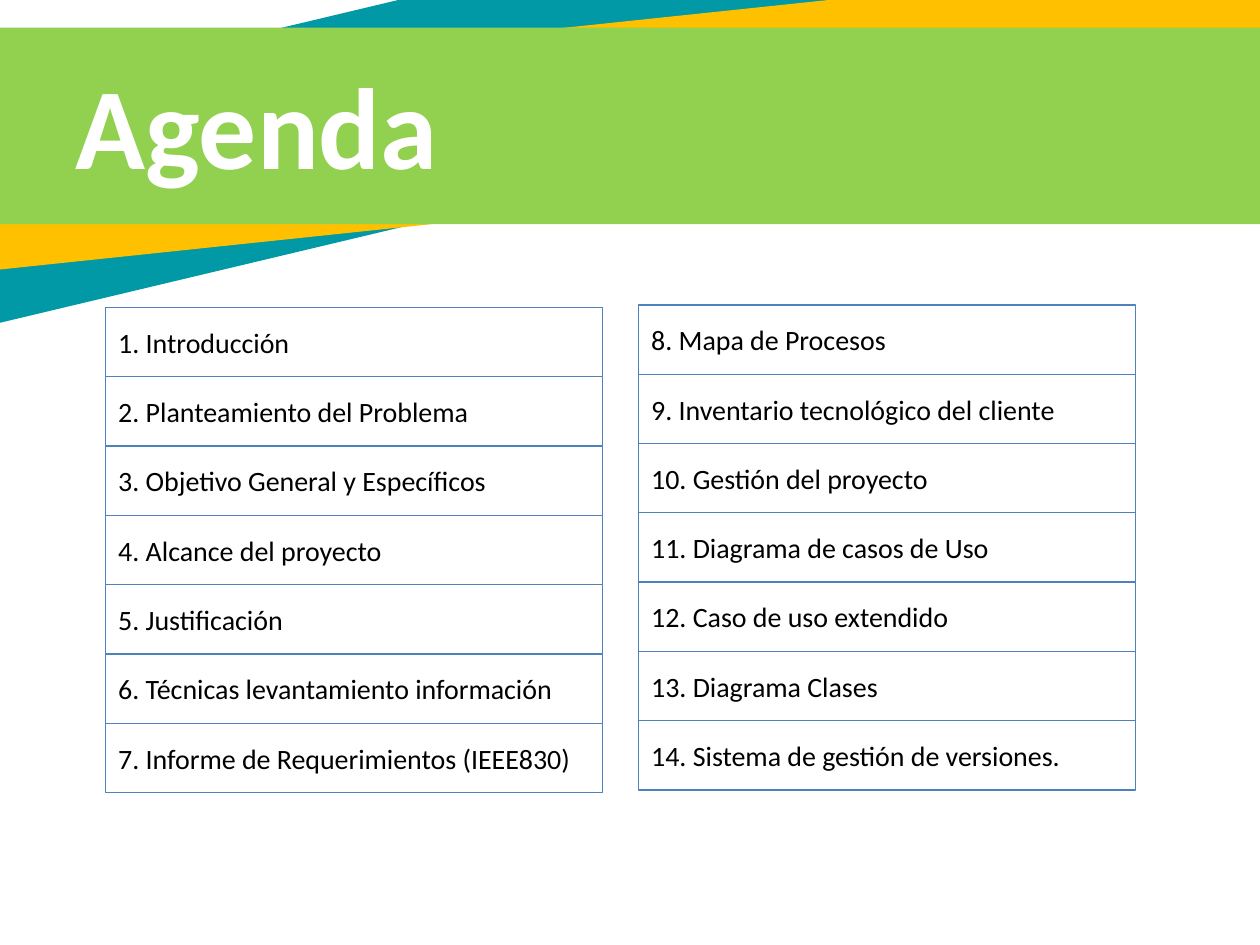
from pptx import Presentation
from pptx.dml.color import RGBColor
from pptx.enum.shapes import MSO_SHAPE
from pptx.enum.text import MSO_ANCHOR, PP_ALIGN
from pptx.util import Inches, Pt

RECTANGLE = MSO_SHAPE.RECTANGLE
MIDDLE = MSO_ANCHOR.MIDDLE
LEFT = PP_ALIGN.LEFT
TITLE_ONLY = 5

TITLE = "Agenda"
# left, top, width, height, rotation, colour
BANDS = [
    (-2.51, -0.18, 13.06, 1.76, -13.4, "0099A5"),
    (-1.1, 0.2, 11.63, 1.44, -6, "FFC000"),
    (-1.06, 0.22, 11.63, 1.56, 0, "92D050"),
]
TOPICS = [
    "Introducción",
    "Planteamiento del Problema",
    "Objetivo General y Específicos",
    "Alcance del proyecto",
    "Justificación",
    "Técnicas levantamiento información",
    "Informe de Requerimientos (IEEE830)",
    "Mapa de Procesos",
    "Inventario tecnológico del cliente",
    "Gestión del proyecto",
    "Diagrama de casos de Uso",
    "Caso de uso extendido",
    "Diagrama Clases",
    "Sistema de gestión de versiones.",
]
COLUMNS = [(0.84, 2.44), (5.07, 2.42)]  # left, top
ROWS = 7
BOX_WIDTH, BOX_HEIGHT = 3.94, 0.55


def color(hex_value):
    return RGBColor.from_string(hex_value)


def write_text(shape, text, size, hex_value, bold=False):
    frame = shape.text_frame
    frame.word_wrap = True
    frame.vertical_anchor = MIDDLE
    paragraph = frame.paragraphs[0]
    paragraph.alignment = LEFT
    run = paragraph.add_run()
    run.text = text
    run.font.name = "Calibri"
    run.font.size = Pt(size)
    run.font.bold = bold
    run.font.color.rgb = color(hex_value)


def add_rectangle(slide, left, top, width, height, fill=None, line=None):
    shape = slide.shapes.add_shape(
        RECTANGLE, Inches(left), Inches(top), Inches(width), Inches(height))
    shape.shadow.inherit = False
    if fill:
        shape.fill.solid()
        shape.fill.fore_color.rgb = color(fill)
    else:
        shape.fill.background()
    if line:
        shape.line.color.rgb = color(line)
        shape.line.width = Pt(0.75)
    else:
        shape.line.fill.background()
    return shape


def add_title(slide):
    """Format the title and bring it in front of the bands."""
    title = slide.shapes.title
    title.left, title.top = Inches(0.5), Inches(0.49)
    title.width, title.height = Inches(6.58), Inches(0.97)
    write_text(title, TITLE, 66, "FFFFFF", bold=True)
    slide.shapes._spTree.append(title._element)


def main():
    presentation = Presentation()
    presentation.slide_width = Inches(10)
    presentation.slide_height = Inches(7.5)
    slide = presentation.slides.add_slide(presentation.slide_layouts[TITLE_ONLY])

    for left, top, width, height, rotation, fill in BANDS:
        band = add_rectangle(slide, left, top, width, height, fill=fill)
        band.rotation = rotation
    add_title(slide)

    for index, topic in enumerate(TOPICS):
        column, row = divmod(index, ROWS)
        left, top = COLUMNS[column]
        box = add_rectangle(slide, left, top + row * BOX_HEIGHT,
                            BOX_WIDTH, BOX_HEIGHT, line="4F81BD")
        write_text(box, f"{index + 1}. {topic}", 16, "000000")

    presentation.save("out.pptx")


if __name__ == "__main__":
    main()
